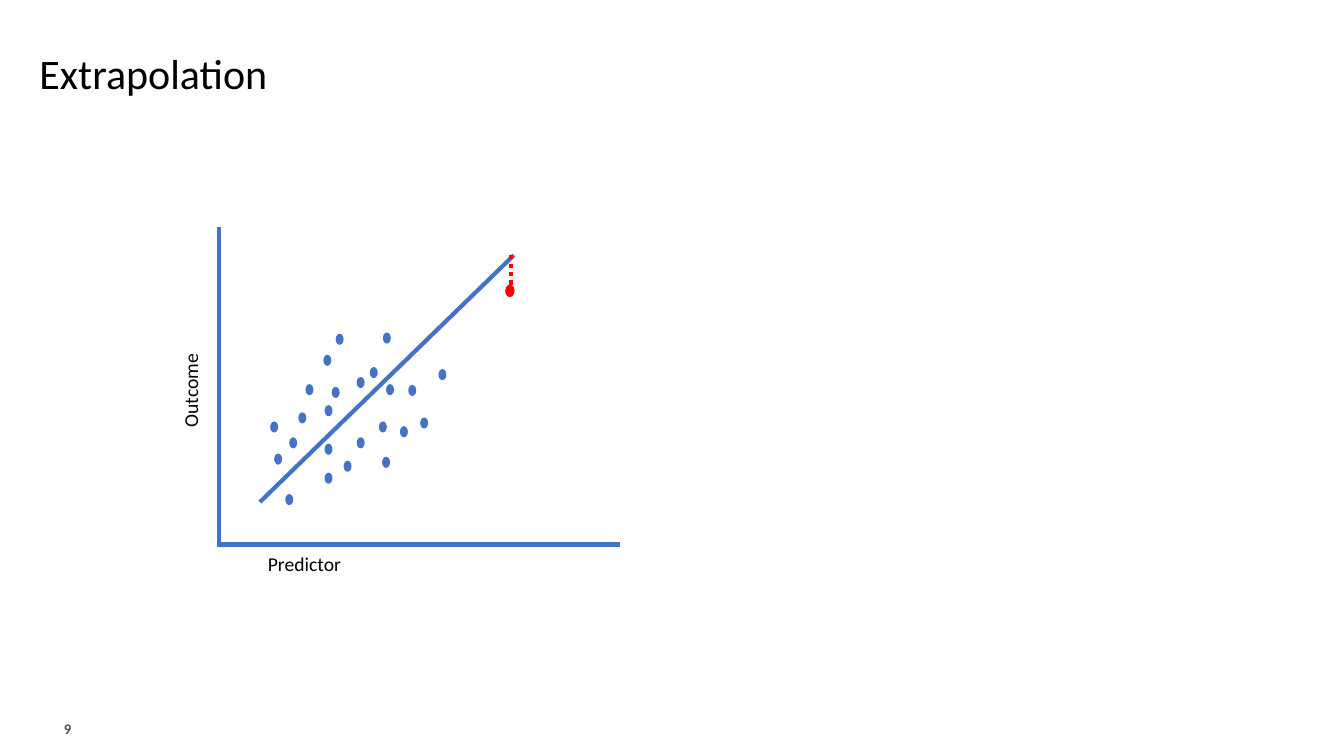
"""Build the Extrapolation slide: a scatter, its fitted line and a distant point."""
from typing import NamedTuple, Optional

import pptx
import pptx.dml.color
import pptx.enum.dml
import pptx.enum.shapes
import pptx.enum.text
import pptx.oxml.ns
import pptx.util
from lxml import etree
from pptx.util import Cm, Pt

COLORS = {"blue": "4472C4", "red": "FF0000", "black": "000000", "grey": "505350"}
FONT = "Calibri"
ALIGN = pptx.enum.text.PP_ALIGN
ANCHOR = pptx.enum.text.MSO_ANCHOR
DOT_SIZE = (0.2, 0.28)


class Line(NamedTuple):
    """A straight line, in centimetres."""
    x1: float
    y1: float
    x2: float
    y2: float
    color: str = "blue"
    dash: Optional[pptx.enum.dml.MSO_LINE_DASH_STYLE] = None


class Dot(NamedTuple):
    """A data point by its top left corner, in centimetres."""
    x: float
    y: float
    color: str = "blue"
    outlined: bool = False


class Label(NamedTuple):
    """An axis label, in centimetres and degrees."""
    text: str
    x: float
    y: float
    rotation: float = 0


LINES = [
    Line(5.51, 5.71, 5.51, 13.77),
    Line(15.62, 13.72, 5.46, 13.72),
    Line(12.95, 6.43, 6.55, 12.65),
]
RESIDUAL = Line(12.88, 6.43, 12.88, 7.19, "red", pptx.enum.dml.MSO_LINE.ROUND_DOT)
OUTLIER = Dot(12.75, 7.19, "red", True)
DOTS = [Dot(x, y) for x, y in [
    (8.46, 8.41), (8.15, 8.94), (8.99, 9.5), (9.73, 9.68), (10.29, 9.7), (10.59, 10.52),
    (9.65, 8.38), (8.99, 11.02), (8.36, 9.75), (7.19, 12.45), (9.55, 10.62), (11.05, 9.3),
    (8.66, 11.61), (8.18, 11.18), (8.18, 11.91), (8.18, 10.21), (7.52, 10.39), (7.29, 11.02),
    (6.81, 10.62), (6.91, 11.43), (7.7, 9.68), (9.63, 11.51), (9.32, 9.25), (10.08, 10.74),
]]
LABELS = [Label("Outcome", 3.17, 8.97, 270), Label("Predictor", 6.5, 13.82)]


def rgb(name: str) -> pptx.dml.color.RGBColor:
    """Return a named colour."""
    return pptx.dml.color.RGBColor.from_string(COLORS[name])


def set_text(shape, text: str, size: float, color: str = "black", align=ALIGN.LEFT,
             anchor=ANCHOR.TOP, bold: bool = False):
    """Fill a shape with one formatted paragraph and return that paragraph."""
    tf = shape.text_frame
    tf.text = text
    tf.word_wrap = True
    tf.auto_size = pptx.enum.text.MSO_AUTO_SIZE.NONE
    tf.vertical_anchor = anchor
    p = tf.paragraphs[0]
    p.alignment = align
    font = p.runs[0].font
    font.name, font.size, font.bold = FONT, Pt(size), bold
    font.color.rgb = rgb(color)
    return p


def add_line(s, line: Line) -> None:
    """Draw a straight line without shadow."""
    c = s.shapes.add_connector(pptx.enum.shapes.MSO_CONNECTOR.STRAIGHT,
                               Cm(line.x1), Cm(line.y1), Cm(line.x2), Cm(line.y2))
    c.line.color.rgb = rgb(line.color)
    c.line.width = Pt(3)
    if line.dash is not None:
        c.line.dash_style = line.dash
    sp_pr = c._element.find(pptx.oxml.ns.qn("p:spPr"))
    etree.SubElement(sp_pr, pptx.oxml.ns.qn("a:effectLst"))


def add_dot(s, dot: Dot) -> None:
    """Draw a data point."""
    width, height = DOT_SIZE
    sp = s.shapes.add_shape(pptx.enum.shapes.MSO_SHAPE.OVAL,
                            Cm(dot.x), Cm(dot.y), Cm(width), Cm(height))
    sp.shadow.inherit = False
    sp.fill.solid()
    sp.fill.fore_color.rgb = rgb(dot.color)
    if dot.outlined:
        sp.line.color.rgb = rgb(dot.color)
        sp.line.width = Pt(1)
    else:
        sp.line.fill.background()


def add_label(s, label: Label) -> None:
    """Write an axis label."""
    sp = s.shapes.add_textbox(Cm(label.x), Cm(label.y), Cm(3.3), Cm(0.81))
    sp.rotation = label.rotation
    p = set_text(sp, label.text, 14)
    sp.text_frame.auto_size = pptx.enum.text.MSO_AUTO_SIZE.SHAPE_TO_FIT_TEXT
    p.line_spacing, p.space_before, p.space_after = 0.95, Pt(4), Pt(2)


def main() -> None:
    """Build and save the slide."""
    prs = pptx.Presentation()
    prs.slide_width, prs.slide_height = Cm(33.87), Cm(19.05)
    s = prs.slides.add_slide(prs.slide_layouts[5])

    title = s.shapes.title
    title.left, title.top, title.width, title.height = Cm(0.74), Cm(0.66), Cm(32.38), Cm(2.51)
    set_text(title, "Extrapolation", 30, anchor=ANCHOR.MIDDLE).line_spacing = 0.9

    number = s.shapes.add_textbox(Cm(0.81), Cm(17.96), Cm(1.24), Cm(0.74))
    set_text(number, "9", 10.5, "grey", ALIGN.RIGHT, ANCHOR.BOTTOM, True)

    for line in LINES:
        add_line(s, line)
    for dot in [*DOTS, OUTLIER]:
        add_dot(s, dot)
    add_line(s, RESIDUAL)
    for label in LABELS:
        add_label(s, label)

    prs.save("out.pptx")


if __name__ == "__main__":
    main()
